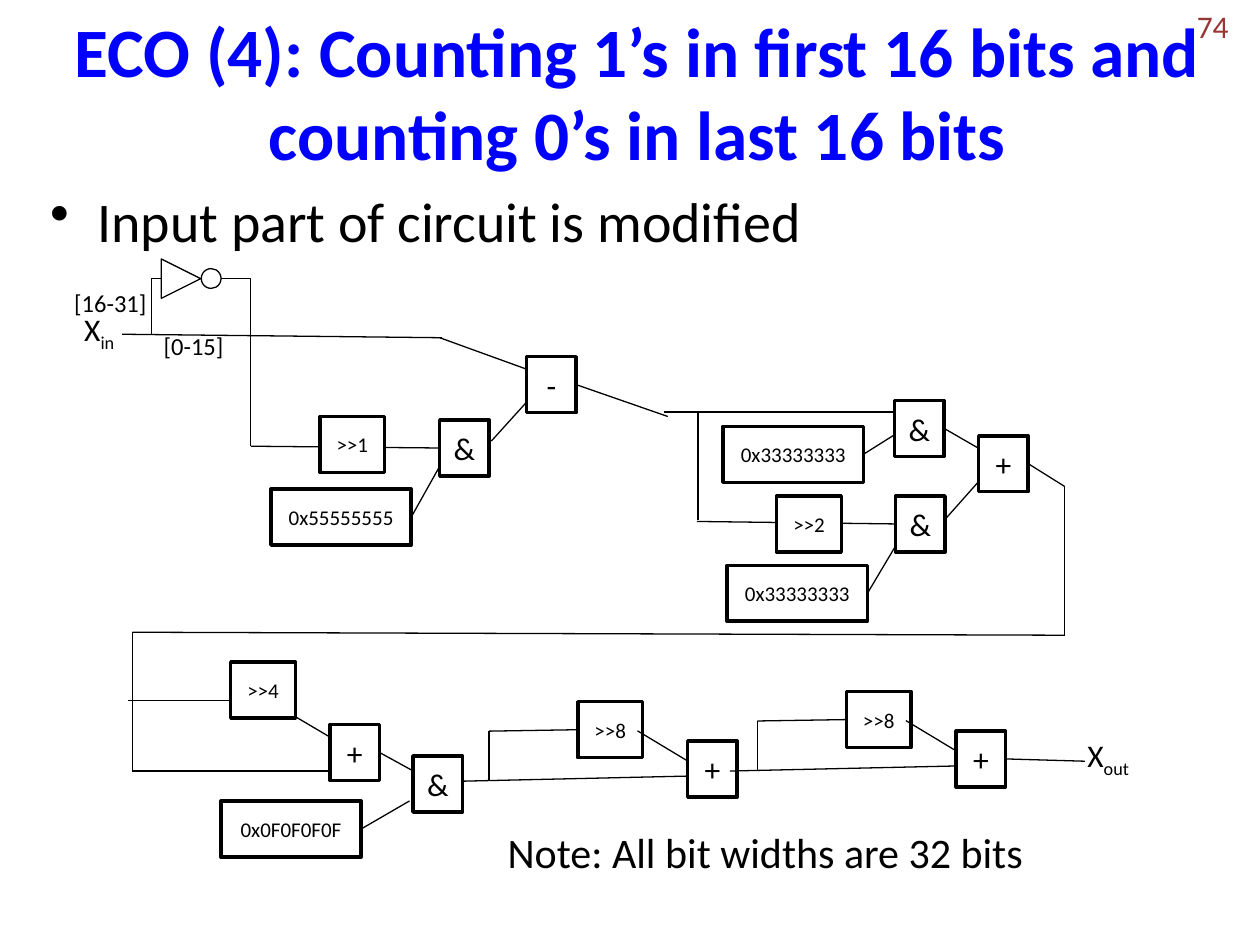
from typing import NamedTuple

from lxml import etree
from pptx import Presentation
from pptx.dml.color import RGBColor
from pptx.enum.shapes import MSO_CONNECTOR, MSO_SHAPE
from pptx.enum.text import MSO_ANCHOR, MSO_AUTO_SIZE, PP_ALIGN
from pptx.oxml.ns import qn
from pptx.util import Pt

RECT = MSO_SHAPE.RECTANGLE
TRIANGLE = MSO_SHAPE.ISOSCELES_TRIANGLE
OVAL = MSO_SHAPE.OVAL
LINE = MSO_CONNECTOR.STRAIGHT
ELBOW = MSO_CONNECTOR.ELBOW
TOP, MIDDLE = MSO_ANCHOR.TOP, MSO_ANCHOR.MIDDLE
LEFT, CENTER, RIGHT = PP_ALIGN.LEFT, PP_ALIGN.CENTER, PP_ALIGN.RIGHT
GROW = MSO_AUTO_SIZE.SHAPE_TO_FIT_TEXT
WEST, EAST = 1, 3
FONT, BLACK, WHITE = "Calibri", "000000", "FFFFFF"
TALL = 32


class Kind(NamedTuple):
    width: float
    size: float


OP, SHIFT, MASK = Kind(28.3, 18), Kind(37, 12), Kind(80.2, 12)


class Box(NamedTuple):
    name: str
    kind: Kind
    text: str
    x: float
    y: float


class Label(NamedTuple):
    text: str
    x: float
    y: float
    width: float
    height: float
    size: float
    sub: str = ""


class Port(NamedTuple):
    name: str
    side: int


class Spot(NamedTuple):
    x: float
    y: float


class Wire(NamedTuple):
    start: Spot | Port
    end: Spot | Port


STAGES = [(0, 0), (153.4, -5.8)]

GATES = [
    Box("mask1", MASK, "0x55555555", 154.8, 279.5),
    Box("minus", OP, "-", 301, 203.8),
    Box("and1", OP, "&", 251.3, 240),
    Box("mask2", MASK, "0x33333333", 413.2, 243.6),
    Box("and2", OP, "&", 511.2, 228.8),
    Box("mask3", MASK, "0x33333333", 415.5, 323),
    Box("and3", OP, "&", 511.8, 283.4),
    Box("sum1", OP, "+", 559.3, 249),
    Box("shift4", SHIFT, ">>4", 131.8, 378.2),
    Box("sum2", OP, "+", 188.6, 414),
    Box("mask4", MASK, "0x0F0F0F0F", 126.2, 457.7),
    Box("and4", OP, "&", 236, 432),
]
for num, (dx, dy) in enumerate(STAGES):
    GATES += [
        Box(f"add{num}", OP, "+", 393 + dx, 423.5 + dy),
        Box(f"move{num}", SHIFT, ">>8", 330.2 + dx, 401 + dy),
    ]

COVERS = [
    Box("shift1", SHIFT, ">>1", 182.8, 238),
    Box("shift2", SHIFT, ">>2", 443.8, 283.4),
]

WIRES = [
    Wire(Spot(69.8, 191), Spot(252.7, 193)),
    Wire(Spot(143.3, 255), Port("and1", WEST)),
    Wire(Spot(143.3, 255), Spot(143.3, 193)),
    Wire(Port("mask1", EAST), Spot(251.3, 266.4)),
    Wire(Spot(280.8, 252), Spot(301, 229.7)),
    Wire(Spot(251.3, 193), Spot(301, 211)),
    Wire(Port("minus", EAST), Spot(381.6, 238)),
    Wire(Spot(379.4, 235.4), Spot(511.2, 235.4)),
    Wire(Spot(398.2, 298), Port("and3", WEST)),
    Wire(Spot(398.9, 297.4), Spot(398.9, 235.4)),
    Wire(Port("mask2", EAST), Spot(511.2, 248.4)),
    Wire(Spot(539.5, 297.4), Spot(559.4, 275)),
    Wire(Port("and2", EAST), Spot(559.4, 256.3)),
    Wire(Port("sum1", EAST), Spot(608.4, 278)),
    Wire(Port("mask3", EAST), Spot(511.9, 311.8)),
    Wire(Spot(608.4, 363.5), Spot(608.4, 278)),
    Wire(Spot(75.6, 361.3), Spot(608.4, 363)),
    Wire(Spot(75.6, 361.3), Spot(75.6, 401)),
    Wire(Spot(75.6, 440.6), Spot(75.6, 401)),
    Wire(Spot(73.4, 400.3), Spot(131.8, 400.3)),
    Wire(Spot(188.6, 440.6), Spot(75.6, 440.6)),
    Wire(Spot(169.2, 409.8), Spot(188.6, 421.2)),
    Wire(Port("sum2", EAST), Spot(236.2, 440.6)),
    Wire(Port("mask4", EAST), Spot(234, 457.7)),
    Wire(Port("add1", EAST), Spot(619.9, 435)),
]
for num, (dx, dy) in enumerate(STAGES):
    tap = Spot(279.4 + dx, 417.8 + dy)
    WIRES += [
        Wire(Spot(263.7, 446.4 + dy) if num == 0 else Spot(263.7 + dx, 446.4 + dy),
             Spot(393 + dx, 443.5 + dy)),
        Wire(Port(f"move{num}", WEST), tap),
        Wire(Spot(364.3 + dx, 417.6 + dy), Spot(393 + dx, 434.9 + dy)),
        Wire(Spot(tap.x, 446.2 + dy), tap),
    ]

LABELS = [
    Label("Note: All bit widths are 32 bits", 283, 468.7, 311.8, 36, 24),
    Label("X", 41, 173.5, 37.4, 28.8, 18, "in"),
    Label("X", 614.2, 416.9, 44.6, 28.8, 18, "out"),
    Label("[0-15]", 86.4, 185.8, 49, 24.5, 14),
    Label("[16-31]", 35.3, 161.3, 56.2, 24.5, 14),
]


def color(code: str) -> RGBColor:
    return RGBColor.from_string(code)


def style(para, size: float, ink: str = BLACK, align=LEFT, bold: bool = False) -> None:
    para.alignment = align
    font = para.font
    font.name, font.size, font.bold = FONT, Pt(size), bold
    font.color.rgb = color(ink)


def add_text(slide, text: str, area: tuple, anchor=TOP, wrap: bool = True):
    frame = slide.shapes.add_textbox(*map(Pt, area)).text_frame
    frame.word_wrap, frame.vertical_anchor = wrap, anchor
    para = frame.paragraphs[0]
    para.add_run().text = text
    return para


def add_label(slide, label: Label) -> None:
    area = (label.x, label.y, label.width, label.height)
    para = add_text(slide, label.text, area, wrap=False)
    if label.sub:
        run = para.add_run()
        run.text = label.sub
        run._r.get_or_add_rPr().set("baseline", "-25000")
    style(para, label.size)


def add_form(slide, form, area: tuple, weight: float):
    shape = slide.shapes.add_shape(form, *map(Pt, area))
    shape.shadow.inherit = False
    shape.fill.solid()
    shape.fill.fore_color.rgb = color(WHITE)
    shape.line.color.rgb = color(BLACK)
    shape.line.width = Pt(weight)
    return shape


def add_box(slide, box: Box):
    shape = add_form(slide, RECT, (box.x, box.y, box.kind.width, TALL), 2)
    frame = shape.text_frame
    frame.vertical_anchor = MIDDLE
    frame.text = box.text
    style(frame.paragraphs[0], box.kind.size, align=CENTER)
    return shape


def add_line(slide, form, start: Spot, end: Spot):
    line = slide.shapes.add_connector(form, *map(Pt, (*start, *end)))
    line.line.color.rgb = color(BLACK)
    line.line.width = Pt(0.75)
    etree.SubElement(line.element.spPr, qn("a:effectLst"))
    return line


def find(end: Spot | Port, gates: dict) -> Spot:
    if isinstance(end, Spot):
        return end
    box = gates[end.name][0]
    return Spot(box.x + (box.kind.width if end.side == EAST else 0), box.y + TALL / 2)


def add_wire(slide, wire: Wire, gates: dict) -> None:
    line = add_line(slide, LINE, find(wire.start, gates), find(wire.end, gates))
    for end, join in ((wire.start, line.begin_connect), (wire.end, line.end_connect)):
        if isinstance(end, Port):
            join(gates[end.name][1], end.side)


def add_bend(slide, start: Spot, end: Spot) -> None:
    line = add_line(slide, ELBOW, start, end)
    line.element.spPr.find(qn("a:prstGeom")).set("prst", "bentConnector2")


def main() -> None:
    deck = Presentation()
    deck.slide_width, deck.slide_height = Pt(720), Pt(540)
    slide = deck.slides.add_slide(deck.slide_layouts[6])

    title = "ECO (4): Counting 1’s in first 16 bits and counting 0’s in last 16 bits"
    para = add_text(slide, title, (8.6, 1.4, 711.4, 101.5), MIDDLE)
    style(para, 39.6, "0000FF", CENTER, True)

    para = add_text(slide, "Input part of circuit is modified", (21.6, 103, 648, 356.4))
    props = para._p.get_or_add_pPr()
    props.set("marL", str(Pt(27)))
    props.set("indent", str(-Pt(27)))
    etree.SubElement(props, qn("a:buChar")).set("char", "•")
    style(para, 32)

    gates = {box.name: (box, add_box(slide, box)) for box in GATES}
    for wire in WIRES:
        add_wire(slide, wire, gates)
    for box in COVERS:
        add_box(slide, box)

    add_form(slide, TRIANGLE, (92.2, 148, 22.5, 22.5), 0.75).rotation = 90
    add_form(slide, OVAL, (115, 153.5, 11.3, 11.3), 0.75)
    add_bend(slide, Spot(126.3, 159.2), Spot(143.3, 196.5))
    add_bend(slide, Spot(92.2, 159.2), Spot(86.6, 191))

    for label in LABELS:
        add_label(slide, label)
    para = add_text(slide, "74", (541.4, 0.7, 167.8, 28.8), MIDDLE)
    style(para, 18, "953735", RIGHT)
    deck.save("out.pptx")


if __name__ == "__main__":
    main()
